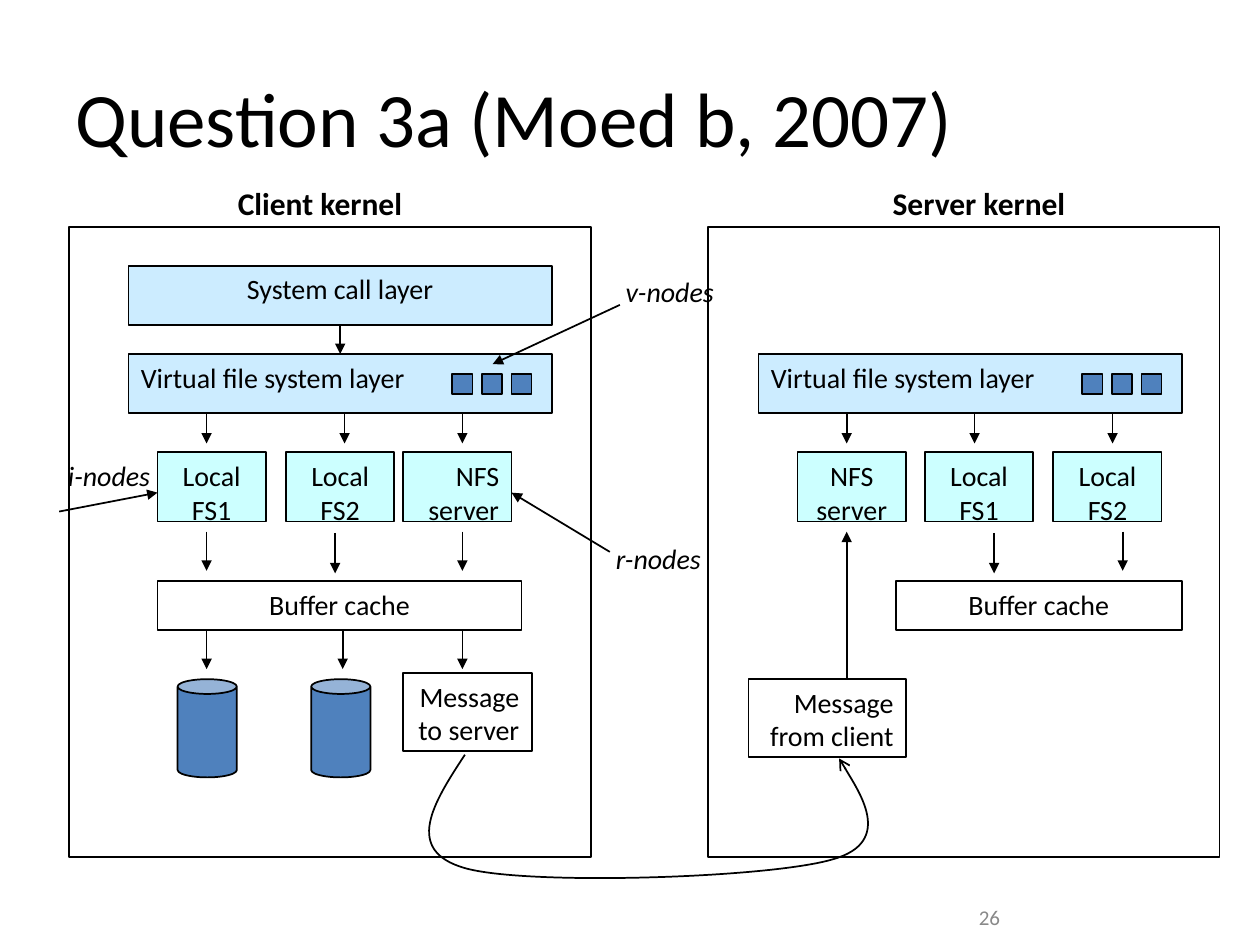
"""Build the slide comparing the client and server kernels of a network file system."""
from dataclasses import dataclass
from typing import Optional

from lxml.etree import SubElement
from pptx import Presentation
from pptx.dml.color import RGBColor
from pptx.enum.shapes import MSO_CONNECTOR, MSO_SHAPE
from pptx.enum.text import MSO_ANCHOR, PP_ALIGN
from pptx.oxml.ns import qn
from pptx.util import Inches, Pt

BLACK = RGBColor(0x00, 0x00, 0x00)
WHITE = RGBColor(0xFF, 0xFF, 0xFF)
GRAY = RGBColor(0x89, 0x89, 0x89)
LAYER_BLUE = RGBColor(0xCC, 0xEC, 0xFF)
SYSTEM_CYAN = RGBColor(0xCC, 0xFF, 0xFF)
NODE_BLUE = RGBColor(0x4F, 0x81, 0xBD)
LEFT, CENTER, RIGHT = PP_ALIGN.LEFT, PP_ALIGN.CENTER, PP_ALIGN.RIGHT


@dataclass
class Box:
    left: float
    top: float
    width: float
    height: float
    fill: Optional[RGBColor] = None
    text: str = ""
    align: PP_ALIGN = CENTER
    kind: MSO_SHAPE = MSO_SHAPE.RECTANGLE


@dataclass
class Label:
    text: str
    left: float
    top: float
    width: float
    height: float
    size: int = 16
    align: PP_ALIGN = CENTER
    color: RGBColor = BLACK
    bold: bool = False
    italic: bool = False
    anchor: MSO_ANCHOR = MSO_ANCHOR.TOP


@dataclass
class Arrow:
    x1: float
    y1: float
    x2: float
    y2: float


def write(frame, text: str, size: int, align: PP_ALIGN, color: RGBColor = BLACK,
          bold: bool = False, italic: bool = False) -> None:
    frame.word_wrap = True
    paragraph = frame.paragraphs[0]
    paragraph.alignment = align
    run = paragraph.add_run()
    run.text = text
    font = run.font
    font.name, font.size, font.bold, font.italic = "Calibri", Pt(size), bold, italic
    font.color.rgb = color


def outline(shape) -> None:
    shape.line.color.rgb = BLACK
    shape.line.width = Pt(1)


def add_head(shape, kind: str) -> None:
    line = shape.line._get_or_add_ln()
    SubElement(line, qn("a:tailEnd"), type=kind)


def draw_box(shapes, box: Box) -> None:
    shape = shapes.add_shape(box.kind, Inches(box.left), Inches(box.top),
                             Inches(box.width), Inches(box.height))
    shape.shadow.inherit = False
    outline(shape)
    if box.fill is None:
        shape.fill.background()
    else:
        shape.fill.solid()
        shape.fill.fore_color.rgb = box.fill
    if box.text:
        shape.text_frame.vertical_anchor = MSO_ANCHOR.TOP
        write(shape.text_frame, box.text, 16, box.align)


def draw_label(shapes, label: Label) -> None:
    frame = shapes.add_textbox(Inches(label.left), Inches(label.top),
                               Inches(label.width), Inches(label.height)).text_frame
    frame.vertical_anchor = label.anchor
    write(frame, label.text, label.size, label.align, label.color, label.bold, label.italic)


def draw_arrow(shapes, arrow: Arrow) -> None:
    line = shapes.add_connector(MSO_CONNECTOR.STRAIGHT, Inches(arrow.x1), Inches(arrow.y1),
                                Inches(arrow.x2), Inches(arrow.y2))
    outline(line)
    add_head(line, "triangle")
    SubElement(line._element.spPr, qn("a:effectLst"))


def draw_curve(shapes, points: list[tuple[float, float]]) -> None:
    start, *controls = [(Inches(x), Inches(y)) for x, y in points]
    builder = shapes.build_freeform(*start)
    builder.add_line_segments(controls, close=False)
    curve = builder.convert_to_shape()
    curve.shadow.inherit = False
    curve.fill.background()
    outline(curve)
    add_head(curve, "arrow")
    outline_path = next(curve._element.iter(qn("a:path")))
    segments = outline_path.findall(qn("a:lnTo"))
    for first in range(0, len(segments), 3):
        bezier = SubElement(outline_path, qn("a:cubicBezTo"))
        for segment in segments[first:first + 3]:
            bezier.append(segment[0])
            outline_path.remove(segment)


def file_layer(left: float) -> list[Box]:
    layer = Box(left, 2.81, 3.36, 0.47, LAYER_BLUE, "Virtual file system layer", LEFT)
    nodes = [Box(left + 2.57 + 0.235 * i, 2.97, 0.16, 0.16, NODE_BLUE) for i in range(3)]
    return [layer, *nodes]


def file_system(left: float, text: str, align: PP_ALIGN = CENTER) -> Box:
    return Box(left, 3.59, 0.86, 0.55, SYSTEM_CYAN, text, align)


def down_arrows(top: float, bottom: float, *columns: float) -> list[Arrow]:
    return [Arrow(x, top, x, bottom) for x in columns]


BOXES = [
    Box(0.55, 1.8, 4.14, 5, WHITE),
    Box(5.62, 1.8, 4.06, 5, WHITE),
    Box(1.02, 2.11, 3.36, 0.47, LAYER_BLUE, "System call layer"),
    *file_layer(1.02),
    *file_layer(6.02),
    file_system(1.25, "Local FS1"),
    file_system(2.27, "Local FS2"),
    file_system(3.2, "NFS server", RIGHT),
    file_system(6.33, "NFS server"),
    file_system(7.34, "Local FS1"),
    file_system(8.36, "Local FS2"),
    Box(1.25, 4.61, 2.89, 0.39, text="Buffer cache"),
    Box(7.11, 4.61, 2.27, 0.39, text="Buffer cache"),
    *[Box(x, 5.39, 0.47, 0.78, NODE_BLUE, kind=MSO_SHAPE.CAN) for x in (1.41, 2.47)],
    Box(3.2, 5.34, 1.02, 0.62, text="Message to server", align=RIGHT),
    Box(5.94, 5.39, 1.25, 0.62, text="Message from client", align=RIGHT),
]
ARROWS = [
    *down_arrows(2.58, 2.81, 2.7),
    *down_arrows(3.28, 3.52, 1.64, 2.735, 3.67, 6.72, 7.735, 8.83),
    *down_arrows(4.22, 4.53, 1.64, 3.67, 8.91),
    *down_arrows(4.23, 4.55, 2.66, 7.89),
    *down_arrows(5, 5.31, 1.64, 2.72, 3.67),
    Arrow(6.72, 5.39, 6.72, 4.22),
    Arrow(4.92, 2.42, 3.91, 2.89),
    Arrow(0.47, 4.06, 1.25, 3.91),
    Arrow(4.84, 4.38, 4.06, 3.91),
]
LABELS = [
    Label("Question 3a (Moed b, 2007)", 0.5, 0.3, 9, 1.25, 44, LEFT, anchor=MSO_ANCHOR.MIDDLE),
    Label("Client kernel", 1.33, 1.41, 2.42, 0.4, 18, bold=True),
    Label("Server kernel", 6.56, 1.41, 2.42, 0.4, 18, bold=True),
    Label("v-nodes", 4.61, 2.13, 1.41, 0.37, italic=True),
    Label("i-nodes", 0.16, 3.59, 1.41, 0.37, italic=True),
    Label("r-nodes", 4.25, 4.25, 1.41, 0.37, align=RIGHT, italic=True),
    Label("26", 7.67, 7.13, 2, 0.3, 12, LEFT, GRAY),
]
MESSAGE_ROUTE = [
    (3.69, 5.99),
    (3.44, 6.37), (3.2, 6.75), (3.69, 6.89),
    (4.18, 7.03), (6.11, 6.97), (6.61, 6.82),
    (7.11, 6.68), (6.66, 6.02), (6.66, 6.02),
]

deck = Presentation()
deck.slide_width, deck.slide_height = Inches(10), Inches(7.5)
kernels = deck.slides.add_slide(deck.slide_layouts[6]).shapes
for item in BOXES:
    draw_box(kernels, item)
for item in ARROWS:
    draw_arrow(kernels, item)
draw_curve(kernels, MESSAGE_ROUTE)
for item in LABELS:
    draw_label(kernels, item)
deck.save("out.pptx")
